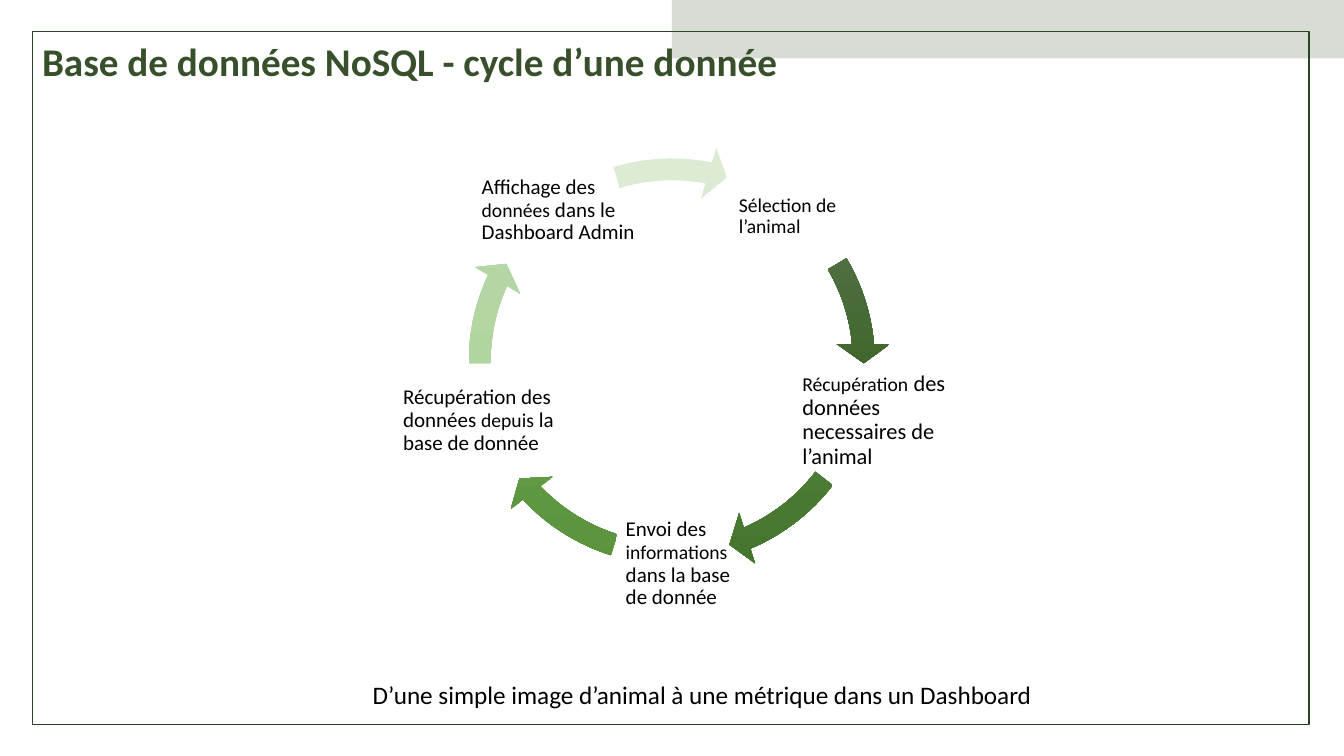
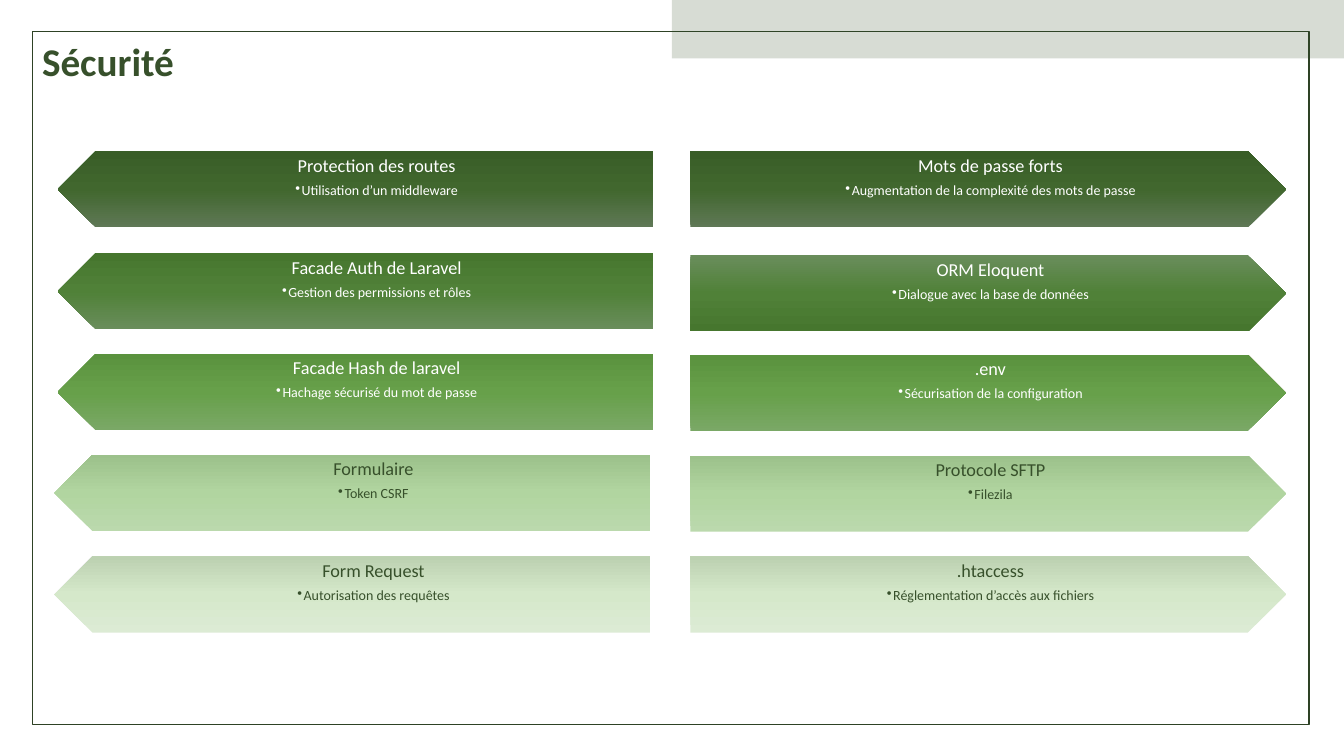
"""Build two slides: the life cycle of a data item and the security measures."""
from copy import deepcopy

from lxml import etree
from pptx import Presentation
from pptx.dml.color import RGBColor
from pptx.enum.shapes import MSO_SHAPE
from pptx.enum.text import MSO_ANCHOR, PP_ALIGN
from pptx.oxml.ns import qn
from pptx.util import Cm, Pt

RECTANGLE = MSO_SHAPE.RECTANGLE
CIRCULAR_ARROW = MSO_SHAPE.CIRCULAR_ARROW
PENTAGON = MSO_SHAPE.PENTAGON
TOP, MIDDLE = MSO_ANCHOR.TOP, MSO_ANCHOR.MIDDLE
LEFT, CENTER = PP_ALIGN.LEFT, PP_ALIGN.CENTER

FONT = "Calibri"
BLACK = RGBColor(0x00, 0x00, 0x00)
WHITE = RGBColor(0xFF, 0xFF, 0xFF)
GREEN = RGBColor(0x37, 0x50, 0x2B)
FRAME_GREEN = RGBColor(0x2E, 0x42, 0x25)
GRADIENTS = [
    (RGBColor(0x5F, 0x78, 0x56), RGBColor(0x41, 0x67, 0x2E), RGBColor(0x39, 0x5D, 0x27)),
    (RGBColor(0x69, 0x8D, 0x5B), RGBColor(0x50, 0x81, 0x38), RGBColor(0x46, 0x76, 0x2E)),
    (RGBColor(0x7A, 0xA8, 0x66), RGBColor(0x67, 0xA0, 0x4A), RGBColor(0x5A, 0x92, 0x3E)),
    (RGBColor(0xBB, 0xD9, 0xAD), RGBColor(0xB1, 0xD5, 0xA0), RGBColor(0x9C, 0xC1, 0x8B)),
    (RGBColor(0xDC, 0xEB, 0xD4), RGBColor(0xD5, 0xE8, 0xCA), RGBColor(0xBC, 0xD1, 0xB1)),
]
ROW_COLORS = [WHITE, WHITE, WHITE, GREEN, GREEN]
DOWNWARD, UPWARD = 270, 90

SLIDE_WIDTH, SLIDE_HEIGHT = Cm(33.87), Cm(19.05)
FRAME_LEFT, FRAME_TOP = Cm(0.81), Cm(0.79)
BAR_HEIGHT = Cm(1.47)
NO_MARGIN = (Cm(0.05),) * 4
BOX_MARGIN = (Cm(0.25), Cm(0.13), Cm(0.25), Cm(0.13))

CYCLE_TITLE = "Base de données NoSQL - cycle d’une donnée"
CYCLE_CAPTION = "D’une simple image d’animal à une métrique dans un Dashboard"
CYCLE_BOX = (Cm(11.43), Cm(3.61), Cm(11), Cm(11))
CYCLE_STEPS = [
    {"box": (18.57, 4.29, 2.92, 2.34), "head": 212.94, "tail": 197.66,
     "spans": [("Sélection de l’animal", 14)]},
    {"box": (20.17, 9.14, 4.47, 2.92), "head": 40.15, "tail": 22.53,
     "spans": [("Récupération", 14), (" des données necessaires de l’animal", 16)]},
    {"box": (15.72, 12.98, 2.92, 2.46), "head": 82.11, "tail": 64.49,
     "spans": [("Envoi des ", 15), ("informations", 14), (" dans la base de donnée", 15)]},
    {"box": (10.11, 9.14, 4.27, 2.92), "head": 122.98, "tail": 107.71,
     "spans": [("Récupération des données ", 15), ("depuis", 14), (" la base de donnée", 15)]},
    {"box": (12.09, 4.17, 4.27, 2.26), "head": 168.66, "tail": 151.98,
     "spans": [("Affichage des ", 15), ("données", 14), (" dans le Dashboard Admin", 15)]},
]

SECURITY_TITLE = "Sécurité"
PLATE_WIDTH, PLATE_HEIGHT, PLATE_TIP = Cm(15.01), Cm(1.92), Cm(0.48)
PLATE_MARGIN = (Cm(0.84), Cm(0.13), Cm(0.25), Cm(0.13))
SECURITY_COLUMNS = [
    {"rotation": 180, "text_shift": PLATE_TIP,
     "lefts": [1.45, 1.45, 1.45, 1.37, 1.37],
     "tops": [3.81, 6.38, 8.92, 11.46, 14.02],
     "angles": [DOWNWARD] * 5,
     "rows": [("Protection des routes", "Utilisation d’un middleware"),
              ("Facade Auth de Laravel", "Gestion des permissions et rôles"),
              ("Facade Hash de laravel", "Hachage sécurisé du mot de passe"),
              ("Formulaire", "Token CSRF"),
              ("Form Request", "Autorisation des requêtes")]},
    {"rotation": 0, "text_shift": 0,
     "lefts": [17.4] * 5,
     "tops": [3.81, 6.43, 8.94, 11.48, 14.02],
     "angles": [UPWARD, DOWNWARD, UPWARD, UPWARD, UPWARD],
     "rows": [("Mots de passe forts", "Augmentation de la complexité des mots de passe"),
              ("ORM Eloquent", "Dialogue avec la base de données"),
              (".env", "Sécurisation de la configuration"),
              ("Protocole SFTP", "Filezila"),
              (".htaccess", "Réglementation d’accès aux fichiers")]},
]


def add_plain_shape(page, kind, box):
    shape = page.shapes.add_shape(kind, *box)
    shape.shadow.inherit = False
    shape.line.fill.background()
    return shape


def fill_gradient(shape, colors, angle):
    shape.fill.gradient()
    stop_list = shape._element.spPr.find(qn("a:gradFill")).find(qn("a:gsLst"))
    stop_list.insert(1, deepcopy(stop_list[0]))
    for stop, color, position in zip(shape.fill.gradient_stops, colors, (0, 0.5, 1)):
        stop.color.rgb = color
        stop.position = position
    shape.fill.gradient_angle = angle


def add_text_box(page, box, margins=BOX_MARGIN, anchor=TOP):
    frame = page.shapes.add_textbox(*box).text_frame
    frame.word_wrap = True
    frame.vertical_anchor = anchor
    (frame.margin_left, frame.margin_top,
     frame.margin_right, frame.margin_bottom) = margins
    return frame


def write(para, spans, color, bold=False, align=LEFT):
    para.alignment = align
    for text, size in spans:
        span = para.add_run()
        span.text = text
        span.font.name = FONT
        span.font.size = Pt(size)
        span.font.bold = bold
        span.font.color.rgb = color


def add_bullet(para):
    properties = para._p.get_or_add_pPr()
    properties.set("marL", str(Cm(0.16)))
    properties.set("indent", str(-Cm(0.16)))
    etree.SubElement(properties, qn("a:buChar")).set("char", "•")


def add_page(deck, title):
    page = deck.slides.add_slide(deck.slide_layouts[6])
    border = add_plain_shape(page, RECTANGLE, (
        FRAME_LEFT, FRAME_TOP, Cm(32.18), Cm(17.48)))
    border.fill.background()
    border.line.color.rgb = FRAME_GREEN
    border.line.width = Pt(0.75)
    half = SLIDE_WIDTH // 2
    band = add_plain_shape(page, RECTANGLE, (half, 0, half, BAR_HEIGHT))
    band.fill.solid()
    band.fill.fore_color.rgb = GREEN
    color = band._element.spPr.find(qn("a:solidFill"))[0]
    etree.SubElement(color, qn("a:alpha")).set("val", "20000")
    frame = add_text_box(page, (FRAME_LEFT, FRAME_TOP, Cm(24), BAR_HEIGHT), anchor=MIDDLE)
    write(frame.paragraphs[0], [(title, 28)], GREEN, bold=True)
    return page


def build_cycle(deck):
    page = add_page(deck, CYCLE_TITLE)
    for step, colors in zip(CYCLE_STEPS, GRADIENTS):
        arrow = add_plain_shape(page, CIRCULAR_ARROW, CYCLE_BOX)
        settings = (0.05, 3.36, step["head"], step["tail"], 0.06)
        for index, value in enumerate(settings):
            arrow.adjustments[index] = value
        fill_gradient(arrow, colors, DOWNWARD)
        box = [Cm(length) for length in step["box"]]
        para = add_text_box(page, box, NO_MARGIN, MIDDLE).paragraphs[0]
        para.line_spacing = 0.9
        write(para, step["spans"], BLACK)
    caption = add_text_box(page, (Cm(9.14), Cm(16.99), Cm(20.83), Cm(1.07)))
    write(caption.paragraphs[0], [(CYCLE_CAPTION, 18)], BLACK)


def build_security(deck):
    page = add_page(deck, SECURITY_TITLE)
    for column in SECURITY_COLUMNS:
        rows = zip(column["rows"], column["lefts"], column["tops"],
                   column["angles"], GRADIENTS, ROW_COLORS)
        for (heading, detail), left, top, angle, colors, text_color in rows:
            left, top = Cm(left), Cm(top)
            plate = add_plain_shape(page, PENTAGON, (left, top, PLATE_WIDTH, PLATE_HEIGHT))
            plate.rotation = column["rotation"]
            fill_gradient(plate, colors, angle)
            frame = add_text_box(page, (
                left + column["text_shift"], top,
                PLATE_WIDTH - PLATE_TIP, PLATE_HEIGHT), PLATE_MARGIN)
            first, second = frame.paragraphs[0], frame.add_paragraph()
            add_bullet(second)
            first.space_after = Pt(5)
            for para, text, size in ((first, heading, 13), (second, detail, 10)):
                para.line_spacing = 0.9
                write(para, [(text, size)], text_color, align=CENTER)


def main():
    deck = Presentation()
    deck.slide_width, deck.slide_height = SLIDE_WIDTH, SLIDE_HEIGHT
    build_cycle(deck)
    build_security(deck)
    deck.save("out.pptx")


if __name__ == "__main__":
    main()
